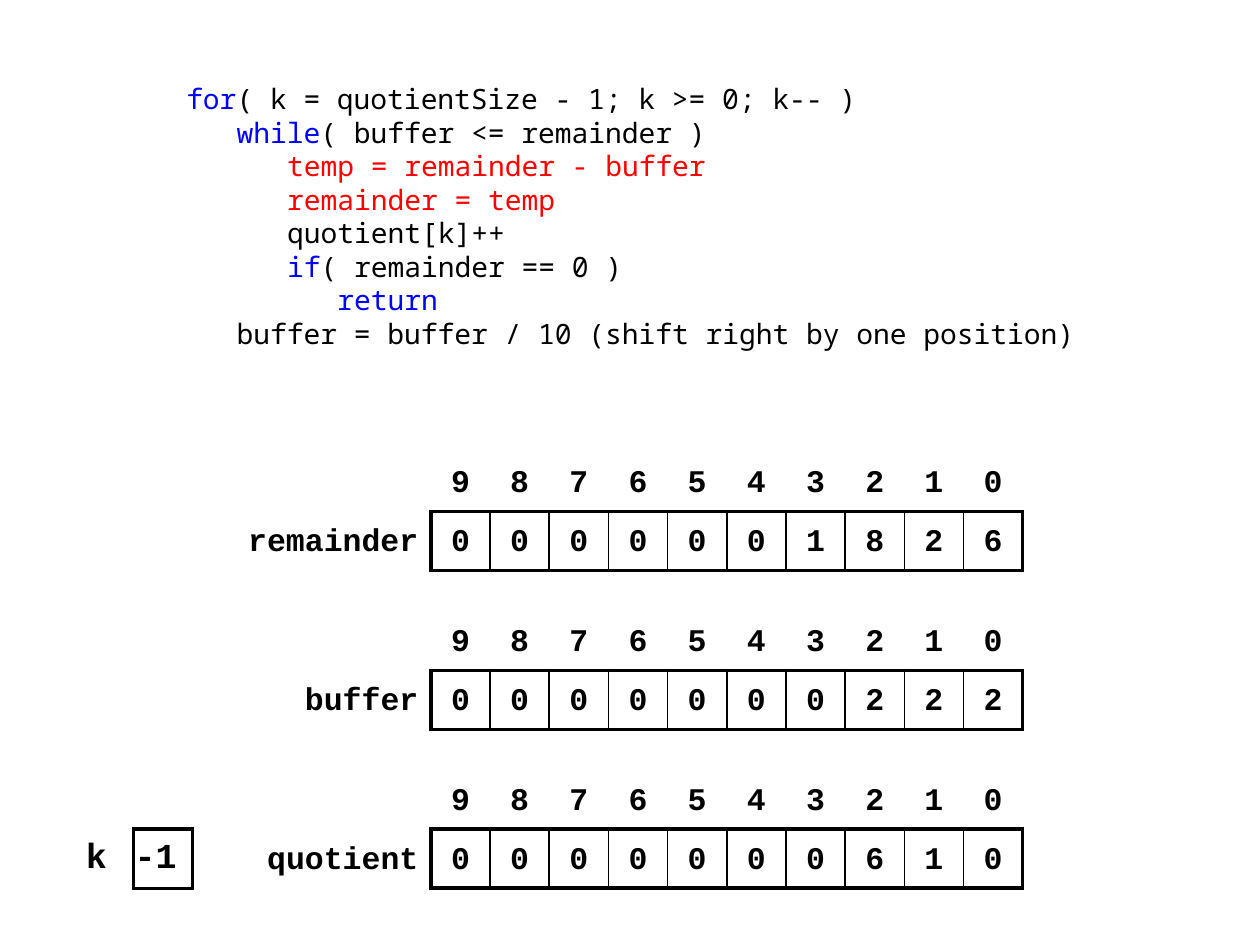
from lxml.etree import SubElement
from pptx import Presentation
from pptx.dml.color import RGBColor
from pptx.enum.text import MSO_ANCHOR, PP_ALIGN
from pptx.oxml.ns import qn
from pptx.util import Inches, Pt

BLACK = RGBColor(0, 0, 0)
BLUE = RGBColor(0, 0, 255)
RED = RGBColor(255, 0, 0)
THICK, THIN = Pt(2.25), Pt(1)
CELL = Inches(0.47)


def add_plain_table(left, top, widths, row_count):
    frame = slide.shapes.add_table(row_count, len(widths), left, top, sum(widths), CELL * row_count)
    table = frame.table
    table.first_row = False
    table.horz_banding = False
    for column, width in zip(table.columns, widths):
        column.width = width
    for row in table.rows:
        row.height = CELL
    return table


def format_cell(cell, text, size, alignment, borders):
    cell.margin_top = cell.margin_bottom = Inches(0.04)
    paragraph = cell.text_frame.paragraphs[0]
    paragraph.text = text
    paragraph.alignment = alignment
    paragraph.font.size = size
    for run in paragraph.runs:
        run.font.name = "Courier New"
        run.font.size = size
        run.font.bold = True
        run.font.color.rgb = BLACK
    properties = cell._tc.get_or_add_tcPr()
    for side in "LRTB":
        width = borders.get(side)
        line = SubElement(properties, qn(f"a:ln{side}"), w=str(int(width or 0)))
        if width:
            fill = SubElement(line, qn("a:solidFill"))
            SubElement(fill, qn("a:srgbClr"), val=str(BLACK))
        else:
            SubElement(line, qn("a:noFill"))
    cell.fill.background()


presentation = Presentation()
presentation.slide_width = Inches(10)
presentation.slide_height = Inches(7.5)
slide = presentation.slides.add_slide(presentation.slide_layouts[6])

code_lines = [
    (0, [("for", BLUE), ("( k = quotientSize - 1; k >= 0; k-- )", BLACK)]),
    (1, [("while", BLUE), ("( buffer <= remainder )", BLACK)]),
    (2, [("temp = remainder - buffer", RED)]),
    (2, [("remainder = temp", RED)]),
    (2, [("quotient[k]++", BLACK)]),
    (2, [("if", BLUE), ("( remainder == 0 )", BLACK)]),
    (3, [("return", BLUE)]),
    (1, [("buffer = buffer / 10 (shift right by one position)", BLACK)]),
]
code_box = slide.shapes.add_textbox(Inches(1.38), Inches(0.6), Inches(7.25), Inches(2.2))
code_frame = code_box.text_frame
code_frame.word_wrap = True
for index, (level, pieces) in enumerate(code_lines):
    paragraph = code_frame.paragraphs[0] if index == 0 else code_frame.add_paragraph()
    paragraph.line_spacing = Pt(19.15)
    paragraph_properties = paragraph._p.get_or_add_pPr()
    paragraph_properties.set("marL", "0")
    paragraph_properties.set("indent", str(int(Inches(0.4) * level)))
    for text, color in pieces:
        run = paragraph.add_run()
        run.text = text
        run.font.name = "Noto Sans Mono"
        run.font.size = Pt(16)
        run.font.color.rgb = color

registers = [("remainder", "0000001826"), ("buffer", "0000000222"), ("quotient", "0000000610")]
for index, (name, digits) in enumerate(registers):
    top = Inches(3.59 + 1.26 * index)
    table = add_plain_table(Inches(1.85), top, [Inches(1.57)] + [CELL] * len(digits), 2)
    format_cell(table.cell(0, 0), "", Pt(18), PP_ALIGN.RIGHT, {})
    format_cell(table.cell(1, 0), name, Pt(18), PP_ALIGN.RIGHT, {"R": THICK})
    for column, digit in enumerate(digits, start=1):
        position = str(len(digits) - column)
        borders = {
            "L": THICK if column == 1 else THIN,
            "R": THICK if column == len(digits) else THIN,
            "T": THICK,
            "B": THICK,
        }
        format_cell(table.cell(0, column), position, Pt(18), PP_ALIGN.CENTER, {"B": THICK})
        format_cell(table.cell(1, column), digit, Pt(18), PP_ALIGN.CENTER, borders)
    for cell in table.iter_cells():
        cell.text_frame.paragraphs[0].line_spacing = 1.25

counter = add_plain_table(Inches(0.59), Inches(6.58), [CELL] * 2, 1)
format_cell(counter.cell(0, 0), "k", Pt(20), PP_ALIGN.CENTER, {"R": THICK})
format_cell(counter.cell(0, 1), "-1", Pt(20), PP_ALIGN.CENTER, dict.fromkeys("LRTB", THICK))
for cell in counter.iter_cells():
    cell.vertical_anchor = MSO_ANCHOR.MIDDLE
    cell.margin_left = 0
    cell.margin_right = Inches(0.12)

presentation.save("out.pptx")
